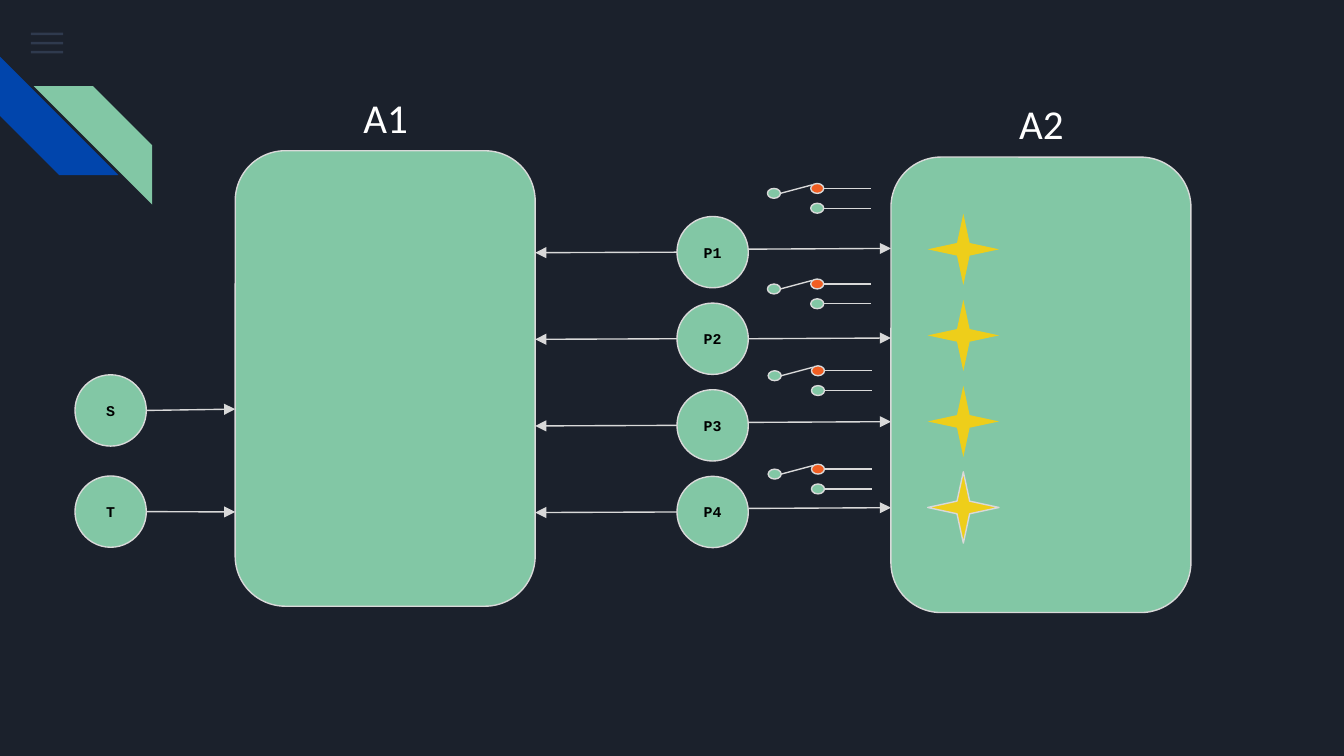
from dataclasses import dataclass

from lxml import etree
from pptx import Presentation
from pptx.dml.color import RGBColor
from pptx.enum import shapes as kinds, text as txt
from pptx.oxml.ns import qn
from pptx.util import Pt

KIND = kinds.MSO_SHAPE


@dataclass(frozen=True)
class Theme:
    """Colours, fonts and sizes of the slide."""
    back: str = "1B212C"
    bar: str = "55688B"
    blue: str = "0145AC"
    green: str = "82C7A5"
    red: str = "F15E22"
    gold: str = "EECE1A"
    edge: str = "D9D9D9"
    ink: str = "000000"
    pale: str = "FFFFFF"
    mono: str = "Courier New"
    sans: str = "Calibri"
    small: float = 8
    large: float = 22
    rule: float = 0.75


THEME = Theme()


def rgb(code):
    """Turn a hex code into a colour."""
    return RGBColor.from_string(code)


def shape(parent, kind, x, y, w, h, fill, edge=True, adj=None):
    """Add a flat preset shape, outlined if edge is set."""
    item = parent.add_shape(kind, Pt(x), Pt(y), Pt(w), Pt(h))
    item.shadow.inherit = False
    item.fill.solid()
    item.fill.fore_color.rgb = rgb(fill)
    if edge:
        item.line.color.rgb = rgb(THEME.edge)
        item.line.width = Pt(THEME.rule)
    else:
        item.line.fill.background()
    if adj is not None:
        item.adjustments[0] = adj
    return item


def wire(parent, x1, y1, x2, y2, arrow=False):
    """Add a straight line, with an arrowhead at its end if asked."""
    item = parent.add_connector(
        kinds.MSO_CONNECTOR.STRAIGHT, Pt(x1), Pt(y1), Pt(x2), Pt(y2))
    item.line.color.rgb = rgb(THEME.edge)
    item.line.width = Pt(THEME.rule)
    if arrow:
        line = item.line._get_or_add_ln()
        etree.SubElement(line, qn("a:tailEnd"), type="triangle")
    etree.SubElement(item.element.spPr, qn("a:effectLst"))


def write(item, words, font, size, color, bold=False):
    """Set one centred line of text in a shape."""
    frame = item.text_frame
    frame.word_wrap = True
    frame.margin_left = frame.margin_right = Pt(7.2)
    frame.margin_top = frame.margin_bottom = Pt(7.2)
    para = frame.paragraphs[0]
    para.text = words
    para.alignment = txt.PP_ALIGN.CENTER
    para.font.name = font
    para.font.size = Pt(size)
    para.font.bold = bold
    para.font.color.rgb = rgb(color)
    return frame


def corner(parent, x, y):
    """Draw the menu bars and the two stripes below them."""
    for i in range(3):
        bar = shape(parent, KIND.RECTANGLE, x + 16.6, y + 17.5 + 4.9 * i,
                    17.3, 1.4, THEME.bar, edge=False)
        tint = bar.fill._xPr.find(qn("a:solidFill"))[0]
        etree.SubElement(tint, qn("a:alpha"), val="36000")
    group = parent.add_group_shape().shapes
    left = shape(group, KIND.DIAGONAL_STRIPE, x, y + 30.3, 63.5, 63.5,
                 THEME.blue, edge=False, adj=0.5)
    left.rotation = 270
    right = shape(group, KIND.DIAGONAL_STRIPE, x + 18.1, y + 46.2, 63.5, 63.5,
                  THEME.green, edge=False, adj=0.5)
    right.element.spPr.get_or_add_xfrm().set("flipH", "1")


def panel(parent, x, y, w, h, name):
    """Draw a rounded panel with its name above."""
    shape(parent, KIND.ROUNDED_RECTANGLE, x, y, w, h, THEME.green, adj=0.167)
    box = parent.add_textbox(Pt(x - 1.5), Pt(y - 38.7), Pt(w + 3.5), Pt(42.5))
    write(box, name, THEME.sans, THEME.large, THEME.pale)


def node(parent, x, y, size, name):
    """Draw a named circle."""
    disc = shape(parent, KIND.OVAL, x, y, size, size, THEME.green)
    frame = write(disc, name, THEME.mono, THEME.small, THEME.ink, bold=True)
    frame.vertical_anchor = txt.MSO_ANCHOR.MIDDLE


def switch(parent, x, y):
    """Draw a two-way switch whose arm rests on the upper contact."""
    group = parent.add_group_shape().shapes
    wide, high, gap, drop = 7, 5.3, 23.2, 10.6
    spots = ((gap, 0, THEME.red), (gap, drop, THEME.green),
             (0, high / 2, THEME.green))
    for dx, dy, fill in spots:
        shape(group, KIND.OVAL, x + dx, y + dy, wide, high, fill)
    wire(group, x + wide, y + high, x + gap + 1, y + 0.7)
    for dy in (0, drop):
        mid = y + dy + high / 2
        wire(group, x + gap + wide, mid, x + 55.4, mid)


def stars(parent, x, y, size, step, count):
    """Draw a column of stars, the last one outlined."""
    for i in range(count):
        shape(parent, KIND.STAR_4_POINT, x, y + i * step, size, size,
              THEME.gold, edge=i == count - 1, adj=0.125)


def main():
    """Build the slide and save it."""
    deck = Presentation()
    deck.slide_width, deck.slide_height = Pt(720), Pt(405)
    slide = deck.slides.add_slide(deck.slide_layouts[6])
    slide.background.fill.solid()
    slide.background.fill.fore_color.rgb = rgb(THEME.back)
    parts = slide.shapes

    x1, x2, wide, high = 126, 477.3, 160.7, 244
    size, step, top, hub = 38.2, 46.4, 116, 362.7
    corner(parts, 0, 0)
    panel(parts, x1, 80.8, wide, high, "A1")
    panel(parts, x2, 84.2, wide, high, "A2")

    rows = (("P1", -1.6, 411.1, 98.3), ("P2", 0, 411.1, 149.5),
            ("P3", -1.6, 411.5, 196), ("P4", -1.9, 411.5, 248.7))
    for i, (name, shift, left, high) in enumerate(rows):
        y = top + i * step
        mid = y + size / 2
        node(parts, hub, y, size, name)
        wire(parts, hub, mid, x1 + wide, mid + 0.3, arrow=True)
        wire(parts, hub + size, mid + shift, x2, mid + shift - 0.4, arrow=True)
        switch(parts, left, high)

    for name, y, shift in (("S", 200.8, -0.7), ("T", 255, 0.2)):
        mid = y + size / 2
        node(parts, 40.2, y, size, name)
        wire(parts, 40.2 + size, mid, x1, mid + shift, arrow=True)

    stars(parts, x2 + 19.7, 114.5, size, 46.1, len(rows))
    deck.save("out.pptx")


if __name__ == "__main__":
    main()
